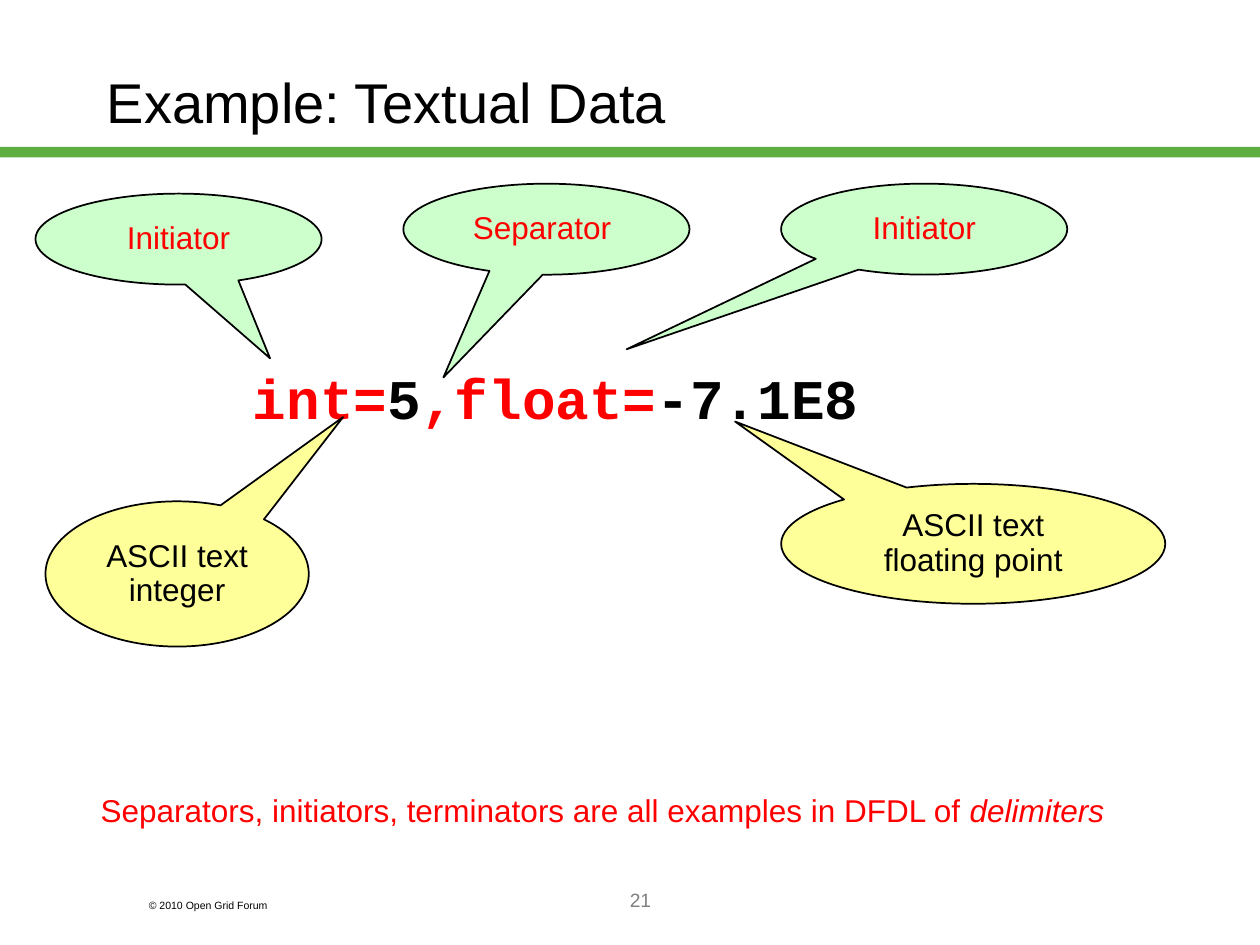
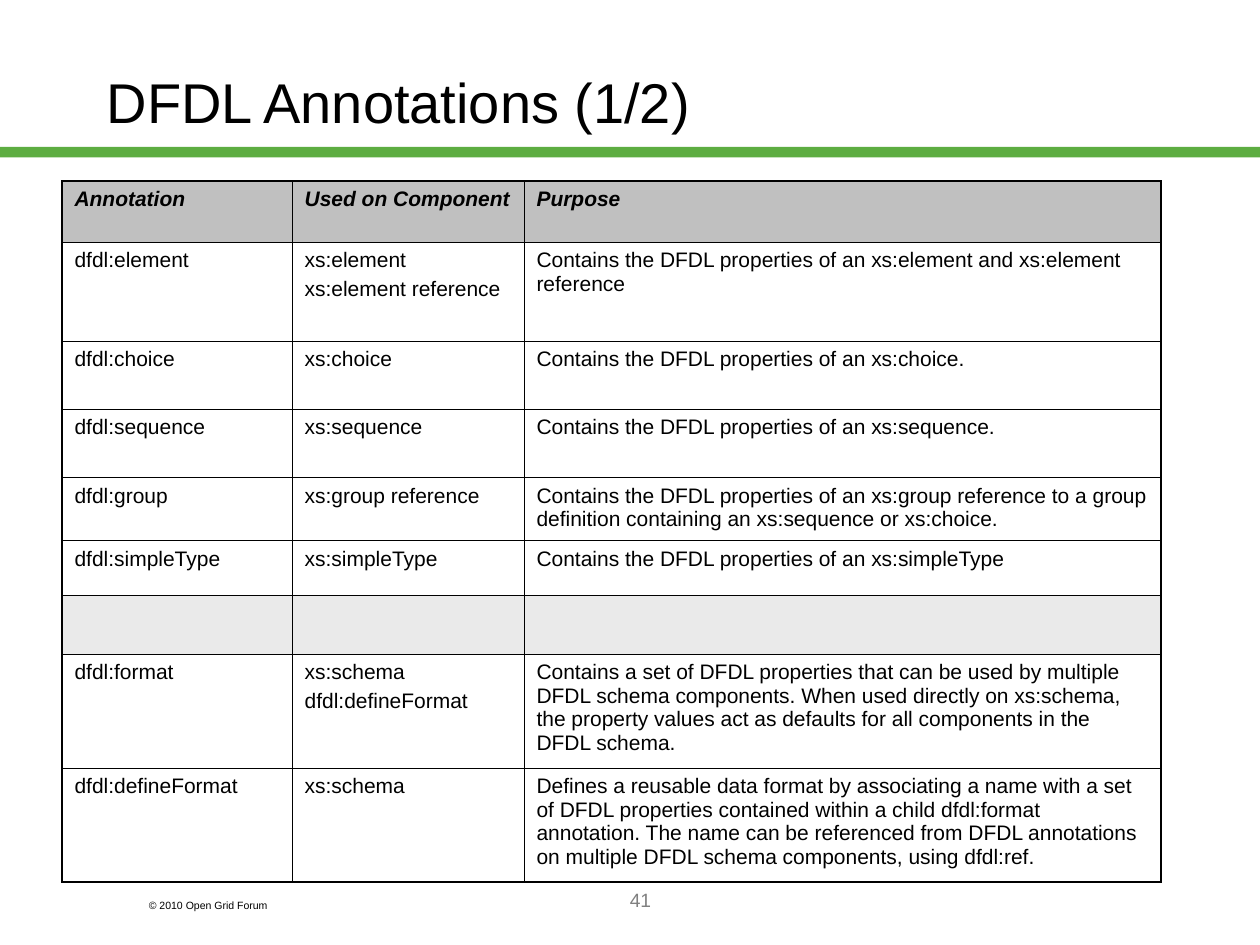
import pptx
import pptx.util
import pptx.dml.color
import pptx.enum.shapes
import pptx.enum.text
import pptx.oxml.ns
import lxml.etree
from collections import namedtuple

Pt = pptx.util.Pt
RGBColor = pptx.dml.color.RGBColor
SHAPE = pptx.enum.shapes.MSO_SHAPE
ALIGN = pptx.enum.text.PP_ALIGN
ANCHOR = pptx.enum.text.MSO_ANCHOR

# Shared look
BLACK = RGBColor(0x00, 0x00, 0x00)
RED = RGBColor(0xFF, 0x00, 0x00)
GREY = RGBColor(0x80, 0x80, 0x80)
BAND_GREEN = RGBColor(0x5D, 0xAD, 0x41)
DELIMITER_GREEN = RGBColor(0xCC, 0xFF, 0xCC)
VALUE_YELLOW = RGBColor(0xFF, 0xFF, 0x99)
HEADER_GREY = RGBColor(0xC0, 0xC0, 0xC0)
DIVIDER_GREY = RGBColor(0xEA, 0xEA, 0xEA)
SANS = "Arial"
MONO = "Courier New"
THIN, THICK = 0.45, 1.08

Box = namedtuple("Box", "left top width height")
PAGE = Box(0, 0, 720, 540)
CONTENT = Box(0, 90, 720, 410)
TABLE_BOX = Box(35.4, 103.5, 628, 401)

# Text, fill, left, top, width, height, pointer x and y (fractions of the size)
DELIMITER_SIZE = (163.5, 52)
CALLOUTS = [
    ("ASCII text integer", VALUE_YELLOW, BLACK, (26, 196.5, 150.5, 83), (0.63, -1.08)),
    ("ASCII text floating point", VALUE_YELLOW, BLACK, (446.4, 186.5, 219.5, 68.5), (-0.62, -1.02)),
    ("Separator ", DELIMITER_GREEN, RED, (230.5, 15, *DELIMITER_SIZE), (-0.36, 1.63)),
    ("Initiator", DELIMITER_GREEN, RED, (446.4, 15, *DELIMITER_SIZE), (-1.04, 1.32)),
    ("Initiator", DELIMITER_GREEN, RED, (20.3, 20.7, *DELIMITER_SIZE), (0.32, 1.31)),
]

COLUMN_WIDTHS = (131.5, 132.5, 364)
PROPERTIES_OF = "Contains the DFDL properties of an "
# Row height, then one text per column; a newline starts a paragraph
ANNOTATION_ROWS = [
    (35, "Annotation", "Used on Component", "Purpose"),
    (56.5, "dfdl:element", "xs:element\nxs:element reference",
     PROPERTIES_OF + "xs:element and xs:element reference"),
    (39, "dfdl:choice", "xs:choice", PROPERTIES_OF + "xs:choice."),
    (39, "dfdl:sequence", "xs:sequence", PROPERTIES_OF + "xs:sequence."),
    (36, "dfdl:group", "xs:group reference",
     PROPERTIES_OF + "xs:group reference to a group definition containing "
     "an xs:sequence or xs:choice."),
    (31.5, "dfdl:simpleType", "xs:simpleType", PROPERTIES_OF + "xs:simpleType"),
    (33.5, "", "", ""),
    (65, "dfdl:format", "xs:schema\ndfdl:defineFormat",
     "Contains a set of DFDL properties that can be used by multiple DFDL schema "
     "components. When used directly on xs:schema, the property values act as "
     "defaults for all components in the DFDL schema."),
    (65, "dfdl:defineFormat", "xs:schema",
     "Defines a reusable data format by associating a name with a set of DFDL "
     "properties contained within a child dfdl:format annotation. The name can be "
     "referenced from DFDL annotations on multiple DFDL schema components, using dfdl:ref."),
]


def place(box, left, top, width, height):
    """Lengths for a part whose position is relative to the box."""
    return Pt(box.left + left), Pt(box.top + top), Pt(width), Pt(height)


def style(font, size, color, name=SANS, bold=False, italic=False):
    font.size, font.name, font.bold, font.italic = Pt(size), name, bold, italic
    font.color.rgb = color


def add_text(slide, position, runs, size, name=SANS, bold=False, wrap=True):
    """Text box with one paragraph of (text, colour, italic) runs."""
    frame = slide.shapes.add_textbox(*position).text_frame
    frame.word_wrap = wrap
    for text, color, italic in runs:
        run = frame.paragraphs[0].add_run()
        run.text = text
        style(run.font, size, color, name, bold, italic)
    return frame


def add_frame(slide, box, title, number):
    """Band, footer, page number and title found on every slide."""
    band = slide.shapes.add_shape(SHAPE.RECTANGLE, *place(box, 0, 84, box.width, 6))
    band.shadow.inherit = False
    band.fill.solid()
    band.fill.fore_color.rgb = BAND_GREEN
    band.line.fill.background()

    add_text(slide, place(box, 78, 510, 108, 14.4),
             [("© 2010 Open Grid Forum", BLACK, False)], 6)
    page_number = add_text(slide, place(box, 156, 504, 420, 36), [(number, GREY, False)], 11)
    page_number.paragraphs[0].alignment = ALIGN.CENTER
    heading = add_text(slide, place(box, 54, 13, 612, 90), [(title, BLACK, False)], 32)
    heading.vertical_anchor = ANCHOR.MIDDLE


def add_callout(slide, position, text, fill, color, pointer):
    callout = slide.shapes.add_shape(SHAPE.OVAL_CALLOUT, *position)
    callout.adjustments[0], callout.adjustments[1] = pointer
    callout.shadow.inherit = False
    callout.fill.solid()
    callout.fill.fore_color.rgb = fill
    callout.line.color.rgb = BLACK
    callout.line.width = Pt(1)
    frame = callout.text_frame
    frame.text = text
    frame.word_wrap = True
    frame.vertical_anchor = ANCHOR.MIDDLE
    label = frame.paragraphs[0]
    label.alignment = ALIGN.CENTER
    label.line_spacing = 0.9
    style(label.runs[0].font, 18, color)


def add_textual_example(slide, box):
    # Data line with its delimiters in red
    add_text(slide, place(box, 137.5, 114, 560, 46),
             [("int=", RED, False), ("5", BLACK, False),
              (",float=", RED, False), ("-7.1E8", BLACK, False)],
             32, MONO, bold=True)

    # Callouts pointing at parts of the data
    for text, fill, color, area, pointer in CALLOUTS:
        add_callout(slide, place(box, *area), text, fill, color, pointer)

    # Closing remark
    remark = add_text(
        slide, place(box, 50.4, 360.7, 588, 26.6),
        [("Separators, initiators, terminators are all examples in DFDL of ", RED, False),
         ("delimiters", RED, True)], 18, wrap=False)
    remark.paragraphs[0].line_spacing = 0.9


def set_borders(cell, widths):
    """Black borders, widths in the order left, right, top, bottom."""
    properties = cell._tc.get_or_add_tcPr()
    qn = pptx.oxml.ns.qn
    for side, width in zip("LRTB", widths):
        line = lxml.etree.SubElement(properties, qn("a:ln" + side), w=str(int(Pt(width))))
        fill = lxml.etree.SubElement(line, qn("a:solidFill"))
        lxml.etree.SubElement(fill, qn("a:srgbClr"), val=str(BLACK))


def add_annotation_table(slide, box):
    last_row, last_column = len(ANNOTATION_ROWS) - 1, len(COLUMN_WIDTHS) - 1
    annotations = slide.shapes.add_table(
        last_row + 1, last_column + 1, *place(box, 0, 0, box.width, box.height)).table
    annotations.first_row = annotations.horz_banding = False
    for column, width in zip(annotations.columns, COLUMN_WIDTHS):
        column.width = Pt(width)

    for r, (height, *texts) in enumerate(ANNOTATION_ROWS):
        annotations.rows[r].height = Pt(height)
        for c, text in enumerate(texts):
            cell = annotations.cell(r, c)
            # Thick around the table, thin inside
            on_edge = (c == 0, c == last_column, r == 0, r == last_row)
            set_borders(cell, [THICK if edge else THIN for edge in on_edge])
            if r == 0 or not text:
                cell.fill.solid()
                cell.fill.fore_color.rgb = HEADER_GREY if r == 0 else DIVIDER_GREY
            else:
                cell.fill.background()
            if not text:
                continue
            cell.text_frame.text = text
            for i, paragraph in enumerate(cell.text_frame.paragraphs):
                if i:
                    paragraph.space_before = Pt(3)
                style(paragraph.runs[0].font, 12, BLACK, bold=r == 0, italic=r == 0)


def main():
    deck = pptx.Presentation()
    deck.slide_width, deck.slide_height = Pt(PAGE.width), Pt(PAGE.height)
    pages = [
        ("Example: Textual Data", "21", add_textual_example, CONTENT),
        ("DFDL Annotations (1/2)", "41", add_annotation_table, TABLE_BOX),
    ]
    for title, number, add_content, box in pages:
        slide = deck.slides.add_slide(deck.slide_layouts[6])
        add_frame(slide, PAGE, title, number)
        add_content(slide, box)
    deck.save("out.pptx")


if __name__ == "__main__":
    main()
